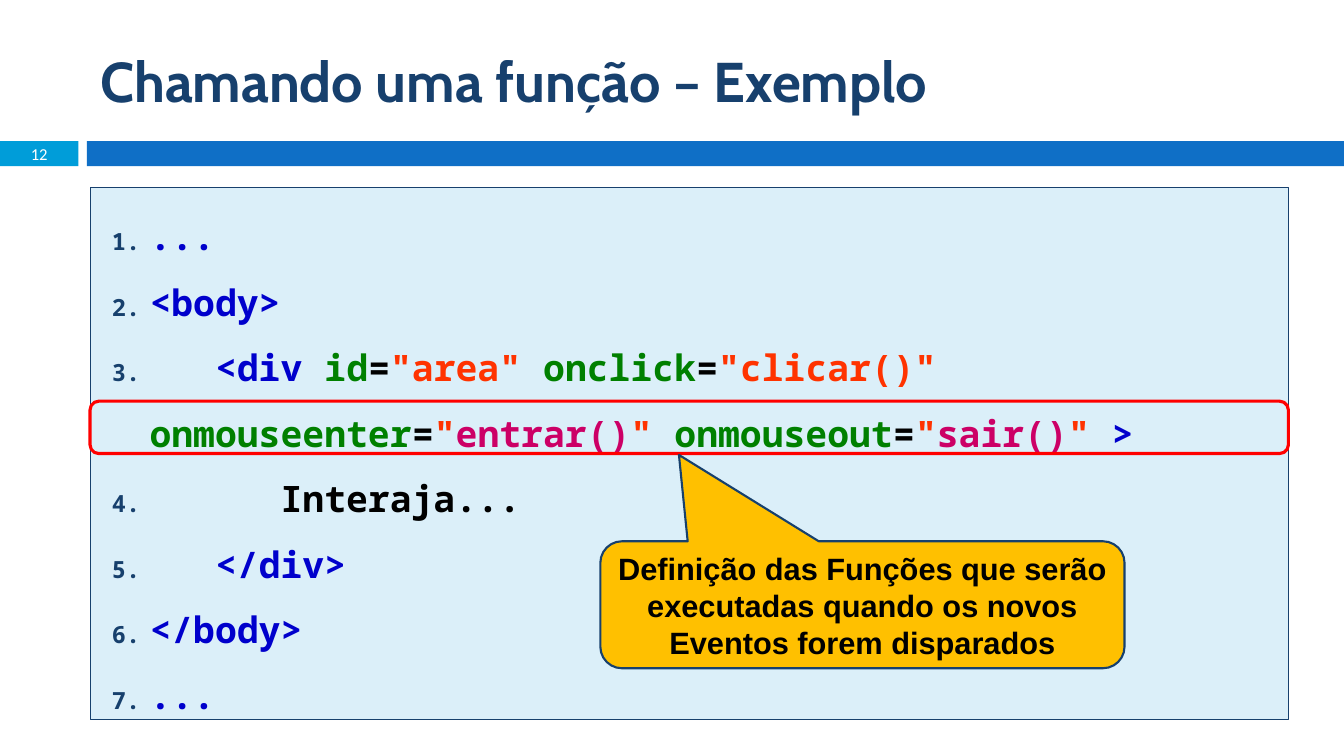
import pptx
import pptx.dml.color
import pptx.enum.shapes
import pptx.enum.text
import pptx.oxml
import pptx.oxml.ns
import pptx.util
from pptx.util import Cm

SHAPES = pptx.enum.shapes.MSO_SHAPE
ALIGN = pptx.enum.text.PP_ALIGN
MIDDLE = pptx.enum.text.MSO_ANCHOR.MIDDLE
NAVY, WHITE, BLACK = "17406D", "FFFFFF", "000000"
TAG, ATTRIBUTE, STRING, CALL = "0000CC", "008000", "FF3300", "CC0066"
CODE_FONT = {"name": "Noto Sans Mono", "size": 26, "bold": True}
STEP = " " * 3

CODE_LINES = [
    [("...", TAG)],
    [("<body>", TAG)],
    [(STEP + "<div", TAG),
     (" id", ATTRIBUTE), ("=", BLACK), ('"area" ', STRING),
     ("onclick", ATTRIBUTE), ("=", BLACK), ('"clicar()" ', STRING),
     ("onmouseenter", ATTRIBUTE), ("=", BLACK),
     ('"', STRING), ("entrar()", CALL), ('" ', STRING),
     ("onmouseout", ATTRIBUTE), ("=", BLACK),
     ('"', STRING), ("sair()", CALL), ('" ', STRING), (">", TAG)],
    [(STEP * 2 + "Interaja...", BLACK)],
    [(STEP + "</div>", TAG)],
    [("</body>", TAG)],
    [("...", TAG)],
]


def color(value):
    return pptx.dml.color.RGBColor.from_string(value)


def format_font(font, values):
    """Apply font values; size is in points and color is a hex string."""
    for name, value in values.items():
        if name == "color":
            font.color.rgb = color(value)
        else:
            setattr(font, name, pptx.util.Pt(value) if name == "size" else value)


def add_run(paragraph, text, **font_values):
    run = paragraph.add_run()
    run.text = text
    format_font(run.font, font_values)


def place(shape, left, top, width, height):
    shape.left, shape.top = Cm(left), Cm(top)
    shape.width, shape.height = Cm(width), Cm(height)


def add_box(slide, kind, box, fill=None, line=None, line_width=1):
    shape = slide.shapes.add_shape(kind, *map(Cm, box))
    shape.shadow.inherit = False
    if fill:
        shape.fill.solid()
        shape.fill.fore_color.rgb = color(fill)
    else:
        shape.fill.background()
    if line:
        shape.line.color.rgb = color(line)
        shape.line.width = pptx.util.Pt(line_width)
    else:
        shape.line.fill.background()
    return shape


def write_centered(shape, text, **font_values):
    frame = shape.text_frame
    frame.word_wrap = True
    frame.vertical_anchor = MIDDLE
    paragraph = frame.paragraphs[0]
    paragraph.alignment = ALIGN.CENTER
    add_run(paragraph, text, **font_values)


def number_paragraph(paragraph):
    """Give the paragraph a hanging automatic number."""
    properties = paragraph._p.get_or_add_pPr()
    properties.set("marL", str(Cm(1.25)))
    properties.set("indent", str(Cm(-0.95)))
    namespace = pptx.oxml.ns.nsdecls("a")
    for xml in (
        f'<a:buClr {namespace}><a:srgbClr val="{NAVY}"/></a:buClr>',
        f'<a:buSzPct {namespace} val="65000"/>',
        f'<a:buFont {namespace} typeface="{CODE_FONT["name"]}"/>',
        f'<a:buAutoNum {namespace} type="arabicPeriod"/>',
    ):
        properties.append(pptx.oxml.parse_xml(xml))


def write_code(shape, lines):
    frame = shape.text_frame
    frame.word_wrap = True
    frame.vertical_anchor = pptx.enum.text.MSO_ANCHOR.TOP
    for index, pieces in enumerate(lines):
        paragraph = frame.add_paragraph() if index else frame.paragraphs[0]
        paragraph.alignment = ALIGN.LEFT
        paragraph.line_spacing = 1.5
        number_paragraph(paragraph)
        for text, text_color in pieces:
            add_run(paragraph, text, color=text_color, **CODE_FONT)


def write_title(slide, text):
    title = slide.shapes.title
    place(title, 2.27, 0.64, 30.2, 2.74)
    title.text_frame.vertical_anchor = MIDDLE
    paragraph = title.text_frame.paragraphs[0]
    paragraph.alignment = ALIGN.LEFT
    add_run(paragraph, text, name="Cabin", size=40, bold=True, color=NAVY)


def main():
    presentation = pptx.Presentation()
    presentation.slide_width, presentation.slide_height = Cm(33.87), Cm(19.05)
    slide = presentation.slides.add_slide(presentation.slide_layouts[5])

    write_title(slide, "Chamando uma função – Exemplo")
    number_box = add_box(slide, SHAPES.RECTANGLE, (0, 3.56, 1.98, 0.63), "009DD9")
    write_centered(number_box, "12", name="Calibri", size=11.9, color=WHITE)
    add_box(slide, SHAPES.RECTANGLE, (2.19, 3.56, 31.68, 0.63), "0F6FC6")

    code_box = add_box(slide, SHAPES.RECTANGLE, (2.27, 4.73, 30.2, 13.41),
                       "DBEFF9", NAVY, 0.75)
    write_code(code_box, CODE_LINES)
    add_box(slide, SHAPES.ROUNDED_RECTANGLE, (2.27, 10.11, 30.2, 1.32),
            line="FF0000", line_width=2.25)

    callout = add_box(slide, SHAPES.ROUNDED_RECTANGULAR_CALLOUT,
                      (15.13, 13.64, 13.21, 3.2), "FFC000", NAVY, 1.5)
    for index, value in enumerate((-0.35, -1.18, 0.17)):
        callout.adjustments[index] = value
    write_centered(
        callout,
        "Definição das Funções que serão executadas quando os novos "
        "Eventos forem disparados",
        name="Arial", size=22, bold=True, color=BLACK)

    presentation.save("out.pptx")


if __name__ == "__main__":
    main()
